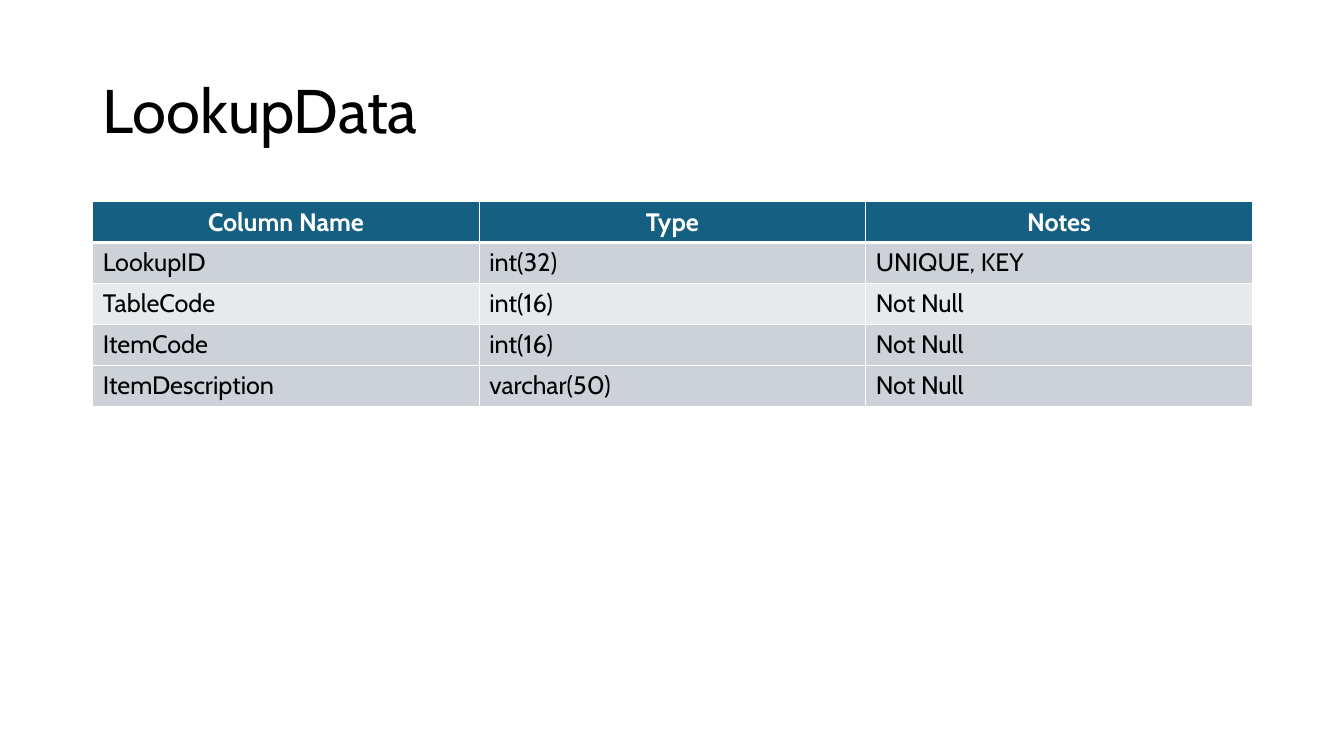
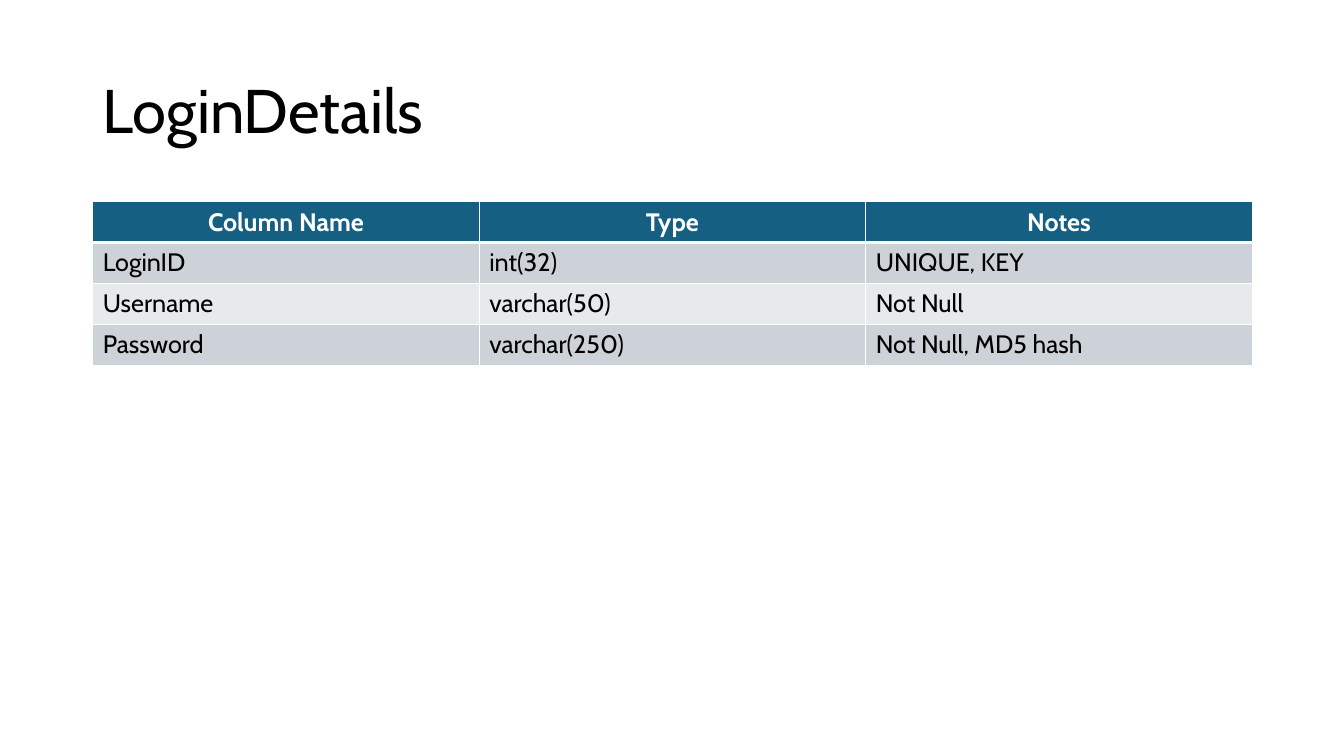
from lxml.etree import SubElement
from pptx import Presentation
from pptx.dml.color import RGBColor
from pptx.enum.text import MSO_ANCHOR, PP_ALIGN
from pptx.oxml.ns import qn
from pptx.util import Inches, Pt

# Content: the last field of each column is its row shade
HEADINGS = ("Column Name", "Type", "Notes")
SCHEMAS = [
    ("LookupData", [
        ("LookupID", "int(32)", "UNIQUE, KEY", "dark"),
        ("TableCode", "int(16)", "Not Null", "light"),
        ("ItemCode", "int(16)", "Not Null", "dark"),
        ("ItemDescription", "varchar(50)", "Not Null", "dark"),
    ]),
    ("LoginDetails", [
        ("LoginID", "int(32)", "UNIQUE, KEY", "dark"),
        ("Username", "varchar(50)", "Not Null", "light"),
        ("Password", "varchar(250)", "Not Null, MD5 hash", "dark"),
    ]),
]

# Shared style
COLORS = {"header": "156082", "dark": "CCD2D8", "light": "E7EAEC",
          "text": "000000", "white": "FFFFFF"}
FONT = "Cabin"
LEFT, WIDTH = Inches(0.92), Inches(11.5)
TITLE_TOP, TITLE_HEIGHT = Inches(0.4), Inches(1.45)
TABLE_TOP, ROW_HEIGHT = Inches(2), Inches(0.406)
THIN, THICK = Pt(0.96), Pt(3)


def rgb(name):
    return RGBColor.from_string(COLORS[name])


def style_text(paragraph, size, color, bold=False):
    font = paragraph.font
    font.name, font.size, font.bold = FONT, Pt(size), bold
    font.color.rgb = rgb(color)


def add_title(slide, title):
    frame = slide.shapes.add_textbox(LEFT, TITLE_TOP, WIDTH, TITLE_HEIGHT).text_frame
    frame.word_wrap = True
    frame.vertical_anchor = MSO_ANCHOR.MIDDLE
    paragraph = frame.paragraphs[0]
    paragraph.text = title
    paragraph.line_spacing = 0.9
    style_text(paragraph, 44, "text")


def set_borders(cell, top, bottom):
    properties = cell._tc.get_or_add_tcPr()
    for side, width in (("L", THIN), ("R", THIN), ("T", top), ("B", bottom)):
        line = SubElement(properties, qn(f"a:ln{side}"), w=str(int(width)))
        fill = SubElement(line, qn("a:solidFill"))
        SubElement(fill, qn("a:srgbClr"), val=COLORS["white"])


def fill_cell(cell, text, shade, row):
    is_header = row == 0
    # The heavy rule lies between the header and the first row
    set_borders(cell, THICK if row == 1 else THIN, THICK if is_header else THIN)
    cell.fill.solid()
    cell.fill.fore_color.rgb = rgb(shade)
    paragraph = cell.text_frame.paragraphs[0]
    paragraph.text = text
    paragraph.alignment = PP_ALIGN.CENTER if is_header else PP_ALIGN.LEFT
    style_text(paragraph, 18, "white" if is_header else "text", is_header)


def add_schema_table(slide, columns):
    rows = [(*HEADINGS, "header"), *columns]
    table = slide.shapes.add_table(len(rows), len(HEADINGS), LEFT, TABLE_TOP,
                                   WIDTH, ROW_HEIGHT * len(rows)).table
    table.horz_banding = False
    for r, (*texts, shade) in enumerate(rows):
        for c, text in enumerate(texts):
            fill_cell(table.cell(r, c), text, shade, r)


def main():
    deck = Presentation()
    deck.slide_width, deck.slide_height = Inches(13.33), Inches(7.5)
    blank = deck.slide_layouts[6]
    for title, columns in SCHEMAS:
        slide = deck.slides.add_slide(blank)
        add_title(slide, title)
        add_schema_table(slide, columns)
    deck.save("out.pptx")


if __name__ == "__main__":
    main()
